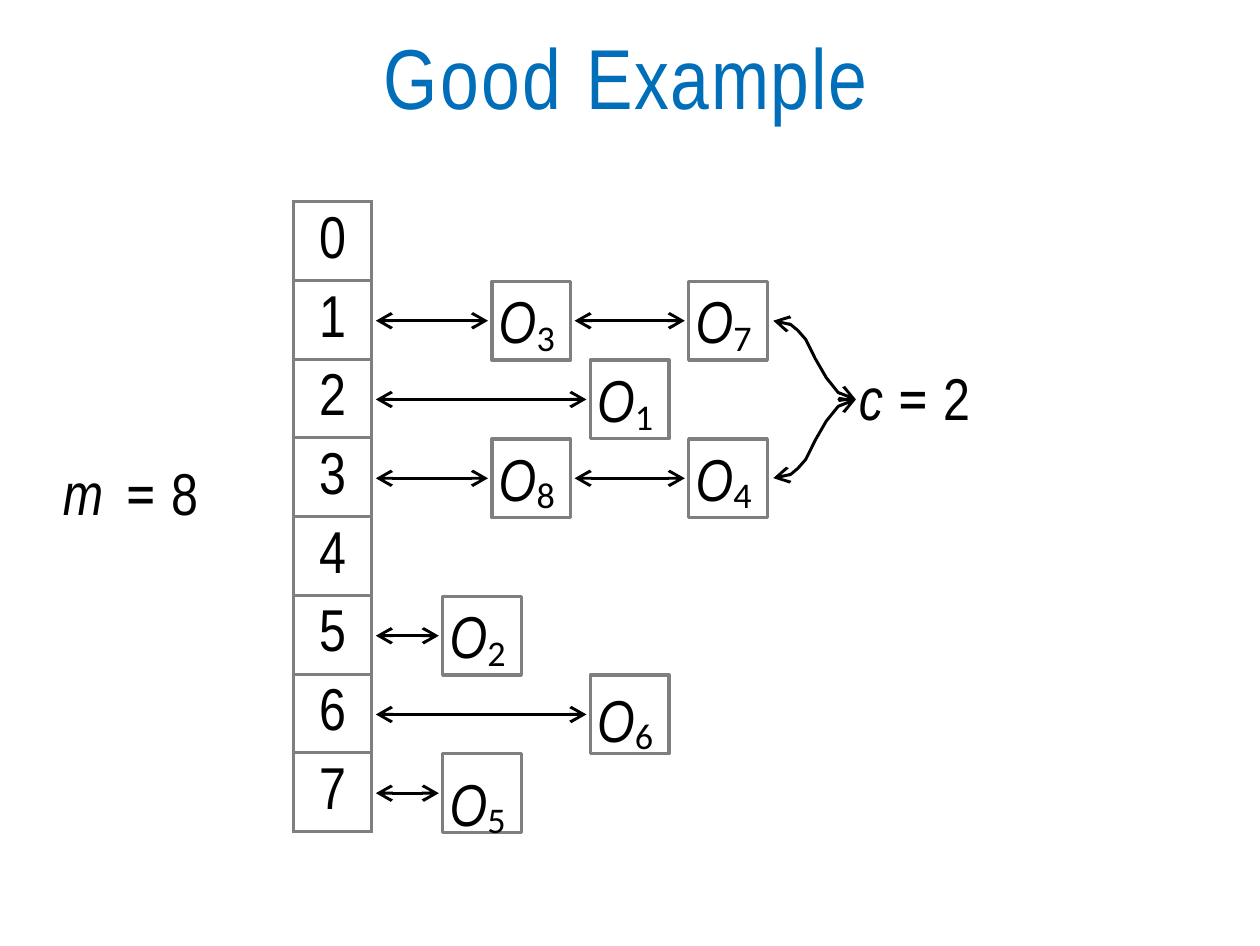
from dataclasses import dataclass

from lxml.etree import SubElement
from pptx import Presentation
from pptx.dml.color import RGBColor
from pptx.enum.shapes import MSO_CONNECTOR, MSO_SHAPE
from pptx.enum.text import MSO_ANCHOR, MSO_AUTO_SIZE, PP_ALIGN
from pptx.oxml.ns import qn
from pptx.util import Cm, Pt


@dataclass(frozen=True)
class Theme:
    blue: RGBColor = RGBColor(0x00, 0x6E, 0xB8)
    black: RGBColor = RGBColor(0, 0, 0)
    gray: RGBColor = RGBColor(0x7F, 0x7F, 0x7F)
    font: str = "Arial Narrow"
    symbol_font: str = "Roboto"
    index_font: str = "Calibri"
    title_size: Pt = Pt(24.5)
    text_size: Pt = Pt(17)
    index_size: Pt = Pt(18)
    border: Pt = Pt(1)
    arrow: Pt = Pt(0.85)


THEME = Theme()
SLOT = 0.8  # side of a table slot and of an object box, in cm
GAP = 0.04  # space between an arrow tip and a box, in cm
SLOT_COUNT = 8

# slot: objects as (left in cm, index, extra drop of the label in cm)
CHAINS = {
    1: [(5, "3", 0), (7, "7", 0)],
    2: [(6, "1", 0)],
    3: [(5, "8", 0), (7, "4", 0)],
    5: [(4.5, "2", 0)],
    6: [(6, "6", 0.05)],
    7: [(4.5, "5", 0.1)],
}

# distances left of and away from the collision count, in cm
CURVE = [(0.18, 0.07), (0.3, 0.22), (0.41, 0.41), (0.51, 0.61),
         (0.59, 0.7), (0.66, 0.76), (0.74, 0.79), (0.84, 0.8)]


def set_frame(frame, left, top):
    frame.margin_left, frame.margin_top = Cm(left), Cm(top)
    frame.margin_right = frame.margin_bottom = 0
    frame.vertical_anchor = MSO_ANCHOR.TOP
    frame.auto_size = MSO_AUTO_SIZE.NONE
    frame.word_wrap = True


def add_span(para, text, font, spacing=0, italic=False):
    """Add a run; spacing is in hundredths of a point."""
    span = para.add_run()
    span.text = text
    span.font.name = font
    span.font.italic = italic
    span.font._element.set("spc", str(spacing))
    return span


def add_title(page, left, top, width, height):
    title = page.shapes.title
    title.left, title.top, title.width, title.height = map(Cm, (left, top, width, height))
    set_frame(title.text_frame, 0, 0.05)
    para = title.text_frame.paragraphs[0]
    para.alignment = PP_ALIGN.CENTER
    para.font.size = THEME.title_size
    para.font.color.rgb = THEME.blue
    add_span(para, "Good ", THEME.font, 70)
    add_span(para, "Example", THEME.font, 50)


def add_borders(cell):
    properties = cell._tc.get_or_add_tcPr()
    for side in ("a:lnL", "a:lnR", "a:lnT", "a:lnB"):
        line = SubElement(properties, qn(side), w=str(THEME.border))
        fill = SubElement(line, qn("a:solidFill"))
        SubElement(fill, qn("a:srgbClr"), val=str(THEME.gray))


def add_slots(page, left, top):
    table = page.shapes.add_table(
        SLOT_COUNT, 1, Cm(left), Cm(top), Cm(SLOT), Cm(SLOT * SLOT_COUNT)).table
    table.first_row = table.horz_banding = False
    for slot in range(SLOT_COUNT):
        table.rows[slot].height = Cm(SLOT)
        cell = table.cell(slot, 0)
        cell.margin_left = cell.margin_right = cell.margin_top = cell.margin_bottom = 0
        add_borders(cell)
        cell.fill.background()
        para = cell.text_frame.paragraphs[0]
        para.text = str(slot)
        para.alignment = PP_ALIGN.CENTER
        para.line_spacing = Pt(19.9)
        para.font.name = THEME.font
        para.font.size = THEME.text_size
        para.font.color.rgb = THEME.black


def add_object(page, left, top, index, drop):
    box = page.shapes.add_shape(MSO_SHAPE.RECTANGLE, Cm(left), Cm(top), Cm(SLOT), Cm(SLOT))
    box.shadow.inherit = False
    box.fill.background()
    box.line.color.rgb = THEME.gray
    box.line.width = THEME.border
    set_frame(box.text_frame, 0.07, drop)
    para = box.text_frame.paragraphs[0]
    para.alignment = PP_ALIGN.LEFT
    para.font.color.rgb = THEME.black
    add_span(para, "O", THEME.font, -20, italic=True).font.size = THEME.text_size
    subscript = add_span(para, index, THEME.index_font, -40)
    subscript.font.size = THEME.index_size
    subscript.font._element.set("baseline", "-12000")


def style_arrow(arrow):
    """Give the line an open arrowhead at both ends."""
    arrow.line.color.rgb = THEME.black
    arrow.line.width = THEME.arrow
    line = arrow.line._get_or_add_ln()
    for tip in ("a:headEnd", "a:tailEnd"):
        SubElement(line, qn(tip), type="arrow", w="sm", len="sm")


def add_arrow(page, left, right, middle):
    arrow = page.shapes.add_connector(
        MSO_CONNECTOR.STRAIGHT, Cm(left), Cm(middle), Cm(right), Cm(middle))
    style_arrow(arrow)
    SubElement(arrow._element.spPr, qn("a:effectLst"))


def add_chains(page, slots_right, top):
    for slot, objects in CHAINS.items():
        row_top = top + slot * SLOT
        previous_right = slots_right
        for left, index, drop in objects:
            add_arrow(page, previous_right + GAP, left - GAP, row_top + SLOT / 2)
            add_object(page, left, row_top, index, drop)
            previous_right = left + SLOT


def add_equation(page, left, top, width, variable, value, spacing=0):
    box = page.shapes.add_textbox(Cm(left), Cm(top), Cm(width), Cm(SLOT))
    set_frame(box.text_frame, 0.03, 0.04)
    para = box.text_frame.paragraphs[0]
    para.font.size = THEME.text_size
    para.font.color.rgb = THEME.black
    add_span(para, variable + " ", THEME.font, spacing, italic=True)
    add_span(para, "= ", THEME.symbol_font)
    add_span(para, value, THEME.font, -50)


def add_collisions(page, left, middle):
    """Link the collision count to the ends of the two longest chains."""
    for direction in (-1, 1):
        builder = page.shapes.build_freeform(Cm(left), Cm(middle))
        builder.add_line_segments(
            [(Cm(left - across), Cm(middle + direction * away)) for across, away in CURVE],
            close=False)
        curve = builder.convert_to_shape()
        curve.shadow.inherit = False
        curve.fill.background()
        style_arrow(curve)
    add_equation(page, left, 3.63, 1.45, "c", "2")


def add_hash_table(page, left, top):
    add_slots(page, left, top)
    add_chains(page, left + SLOT, top + 0.01)
    add_collisions(page, 8.7, top + 0.01 + 2.5 * SLOT)
    add_equation(page, 0.61, 4.6, 1.65, "m", "8", spacing=110)


def main():
    deck = Presentation()
    deck.slide_width, deck.slide_height = Pt(363), Pt(272.5)
    page = deck.slides.add_slide(deck.slide_layouts[5])
    add_title(page, 0.52, 0.2, 11.68, 1.12)
    add_hash_table(page, 2.98, 2.05)
    deck.save("out.pptx")


if __name__ == "__main__":
    main()
